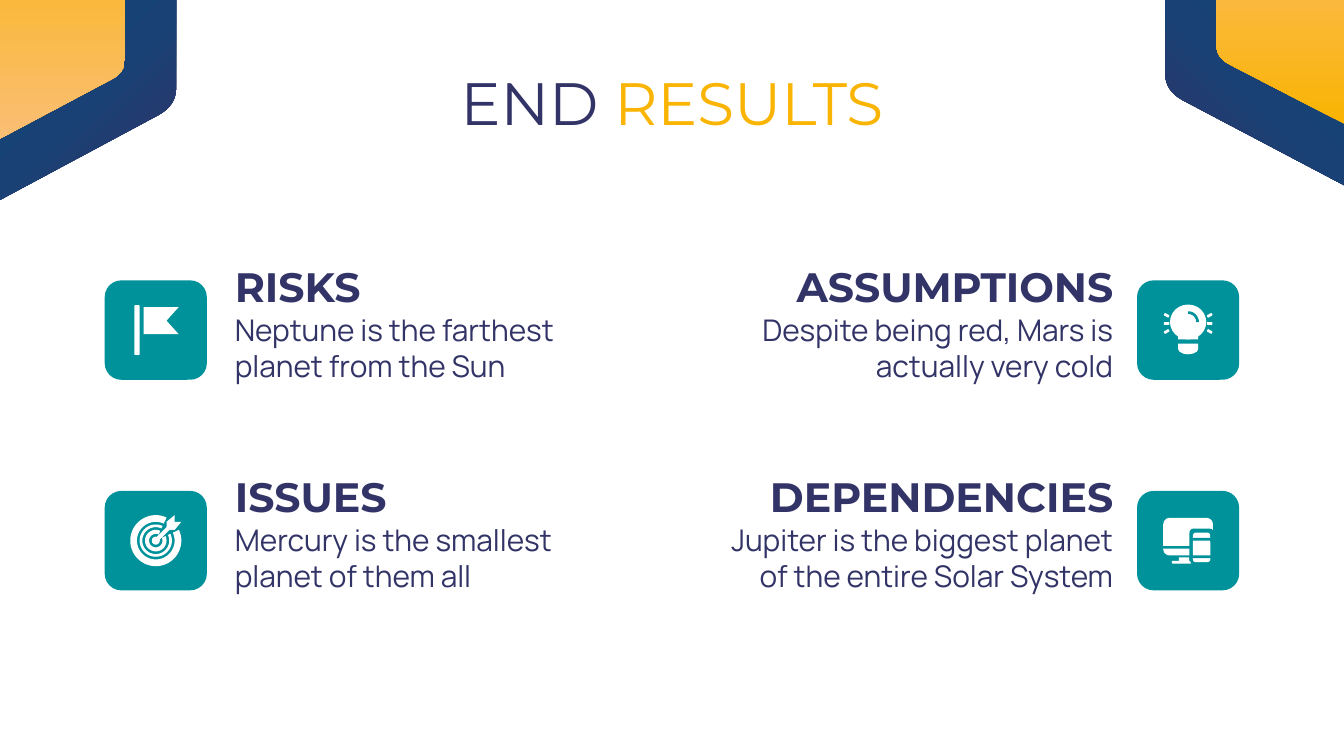
from copy import deepcopy
from math import cos, radians, sin

from pptx import Presentation
from pptx.dml.color import RGBColor
from pptx.enum.shapes import MSO_SHAPE
from pptx.enum.text import MSO_ANCHOR, MSO_AUTO_SIZE, PP_ALIGN
from pptx.util import Cm, Pt

ROUNDED, OVAL, BOX = MSO_SHAPE.ROUNDED_RECTANGLE, MSO_SHAPE.OVAL, MSO_SHAPE.RECTANGLE
CUP = MSO_SHAPE.FLOWCHART_DELAY
TOP, MIDDLE = MSO_ANCHOR.TOP, MSO_ANCHOR.MIDDLE
LEFT, CENTER, RIGHT = PP_ALIGN.LEFT, PP_ALIGN.CENTER, PP_ALIGN.RIGHT

THEME = {
    "navy": "323366", "blue": "194175", "deep": "0C487C",
    "gold": "FAB403", "amber": "FAB93C", "peach": "FABE75",
    "teal": "00929B", "white": "FFFFFF",
    "title": {"name": "Montserrat", "size": Pt(32), "bold": False},
    "heading": {"name": "Montserrat", "size": Pt(22), "bold": True},
    "body": {"name": "Manrope", "size": Pt(16), "bold": False},
}
TITLE = [("END ", "navy"), ("RESULTS", "gold")]
# heading, text, icon; filled row by row
RESULTS = [
    ("RISKS", "Neptune is the farthest planet from the Sun", "flag"),
    ("ASSUMPTIONS", "Despite being red, Mars is actually very cold", "bulb"),
    ("ISSUES", "Mercury is the smallest planet of them all", "target"),
    ("DEPENDENCIES", "Jupiter is the biggest planet of the entire Solar System",
     "devices"),
]

# Icon parts are measured in UNIT from the middle of the tile.
UNIT = 0.0254
# preset, middle x, middle y, width, height, rotation, colour
ICON_PRESETS = {
    "flag": [(ROUNDED, -14, 0, 4, 37, 0, "white")],
    "bulb": [(OVAL, 0, -6, 27, 26, 0, "white"), (BOX, 0, 4, 15, 6, 0, "white"),
             (CUP, 0, 14, 8, 15, 90, "white")]
            + [(ROUNDED, side * 16, 6 * row - 5, 4, 2, side * row * 30, "white")
               for side in (-1, 1) for row in (-1, 0, 1)],
    "target": [(ROUNDED, 6, -6, 22, 3, -45, "white"), (OVAL, 0, 0, 6, 6, 0, "white")],
    "devices": [(ROUNDED, 0, -3, 37, 28, 0, "white"), (BOX, 0, 5, 38, 2, 0, "teal"),
                (ROUNDED, -5, 16, 14, 2, 0, "white"), (BOX, -3, 14, 8, 3, 0, "white"),
                (ROUNDED, 10, 4, 18, 26, 0, "teal"), (ROUNDED, 10, 5, 13, 22, 0, "white")]
               + [(BOX, 10, y, 14, 2, 0, "teal") for y in (-1, 12)],
}
ICON_POLYGONS = {
    "flag": [(-9, -17), (17, -17), (8, -7), (17, 3), (-9, 3)],
    "target": [(8, -8), (8, -14), (14, -19), (14, -14), (19, -14), (14, -8)],
}
# outer radius, inner radius, first and last angle, colour
ICON_ARCS = {
    "target": [(outer, inner, -25, 295, "white")
               for outer, inner in ((19, 14), (12, 10), (8, 5))],
    "bulb": [(8, 6, -90, 0, "teal")],
}
BULB_MIDDLE = -6

# Width, height at the slide edge and height at the inner side, in cm
NAVY_BAND, GOLD_BAND = (3.38, 3.78, 2), (2.41, 2.62, 1.37)
NAVY_COLORS = ("navy", "blue", "deep")
# mirrored, x shift, y shift, then size, colours and angle of each band
CORNERS = [
    (False, -0.05, 0, [(NAVY_BAND, NAVY_COLORS, 135),
                       (GOLD_BAND, ("amber", "peach"), 270)]),
    (True, 0, -0.28, [(NAVY_BAND, NAVY_COLORS, 45),
                      (GOLD_BAND, ("gold", "amber"), 90)]),
]

SLIDE_WIDTH, SLIDE_HEIGHT = 25.4, 14.29
MARGIN, TILE_WIDTH, TILE_HEIGHT = 1.98, 1.93, 1.88
TEXT_LEFT, TEXT_WIDTH = 4.19, 7.98
FIRST_ROW, ROW_STEP = 4.67, 3.98


def rgb(name):
    return RGBColor.from_string(THEME[name])


def strip(shape):
    shape.shadow.inherit = False
    shape.line.fill.background()
    return shape


def paint(shape, color):
    shape.fill.solid()
    shape.fill.fore_color.rgb = rgb(color)


def paint_gradient(shape, colors, angle):
    fill = shape.fill
    fill.gradient()
    fill.gradient_angle = angle
    stop_list = shape._element.spPr.gradFill.gsLst
    for _ in colors[2:]:
        stop_list.append(deepcopy(stop_list[-1]))
    for index, (stop, color) in enumerate(zip(fill.gradient_stops, colors)):
        stop.position = index / (len(colors) - 1)
        stop.color.rgb = rgb(color)


def add_polygon(slide, points):
    first, *others = [(Cm(x), Cm(y)) for x, y in points]
    builder = slide.shapes.build_freeform(*first, scale=1)
    builder.add_line_segments(others, close=True)
    return strip(builder.convert_to_shape())


def add_preset(slide, preset, left, top, width, height, color):
    shape = strip(slide.shapes.add_shape(preset, Cm(left), Cm(top), Cm(width), Cm(height)))
    paint(shape, color)
    return shape


def arc_band(outer, inner, first, last):
    def arc(radius, angles):
        return [(radius * cos(radians(a)), radius * sin(radians(a))) for a in angles]
    angles = range(first, last + 1, 5)
    return arc(outer, angles) + arc(inner, reversed(angles))


def round_corner(before, corner, after, steps=8):
    """Points of a quadratic curve pulled towards the corner."""
    parts = [index / steps for index in range(steps + 1)]
    return [tuple((1 - t) ** 2 * a + 2 * t * (1 - t) * b + t * t * c
                  for a, b, c in zip(before, corner, after)) for t in parts]


def write(box, spans, style, align, anchor):
    frame = box.text_frame
    layout = {"word_wrap": True, "auto_size": MSO_AUTO_SIZE.NONE, "vertical_anchor": anchor}
    layout.update({f"margin_{side}": Cm(0.25) for side in ("left", "top", "right", "bottom")})
    for name, value in layout.items():
        setattr(frame, name, value)
    para = frame.paragraphs[0]
    para.alignment = align
    for text, color in spans:
        span = para.add_run()
        span.text = text
        for name, value in THEME[style].items():
            setattr(span.font, name, value)
        span.font.color.rgb = rgb(color)


def add_corner(slide, mirrored, shift_x, shift_y, bands):
    for (width, edge, side), colors, angle in bands:
        slope = (edge - side) / width
        cut = width * 0.1
        bend = round_corner((width - cut, side + cut * slope), (width, side),
                            (width, side - cut))
        points = []
        for x, y in [(0, 0), (0, edge), *bend, (width, 0)]:
            x, y = max(x + shift_x, 0), max(y + shift_y, 0)
            points.append((SLIDE_WIDTH - x if mirrored else x, y))
        paint_gradient(add_polygon(slide, points), colors, angle)


def add_icon(slide, icon, center_x, center_y):
    def place(x, y):
        return center_x + x * UNIT, center_y + y * UNIT

    for preset, x, y, width, height, turn, color in ICON_PRESETS[icon]:
        corner = place(x - width / 2, y - height / 2)
        part = add_preset(slide, preset, *corner, width * UNIT, height * UNIT, color)
        part.rotation = turn
    polygons = [(arc_band(*arc), color) for *arc, color in ICON_ARCS.get(icon, [])]
    if icon in ICON_POLYGONS:
        polygons.append((ICON_POLYGONS[icon], "white"))
    drop = BULB_MIDDLE if icon == "bulb" else 0
    for points, color in polygons:
        paint(add_polygon(slide, [place(x, y + drop) for x, y in points]), color)


def add_result(slide, index, heading, text, icon):
    row, on_right = divmod(index, 2)
    top = FIRST_ROW + row * ROW_STEP
    tile_left = SLIDE_WIDTH - MARGIN - TILE_WIDTH if on_right else MARGIN
    text_left = SLIDE_WIDTH - TEXT_LEFT - TEXT_WIDTH + 0.08 if on_right else TEXT_LEFT
    for words, style, offset, height in ((heading, "heading", 0, 1.47),
                                         (text, "body", 1.22, 1.35)):
        box = slide.shapes.add_textbox(Cm(text_left), Cm(top + offset),
                                       Cm(TEXT_WIDTH), Cm(height))
        write(box, [(words, "navy")], style, RIGHT if on_right else LEFT, MIDDLE)
    tile_top = top + 0.63
    add_preset(slide, ROUNDED, tile_left, tile_top, TILE_WIDTH, TILE_HEIGHT, "teal")
    add_icon(slide, icon, tile_left + TILE_WIDTH / 2, tile_top + TILE_HEIGHT / 2)


def main():
    deck = Presentation()
    deck.slide_width, deck.slide_height = Cm(SLIDE_WIDTH), Cm(SLIDE_HEIGHT)
    slide = deck.slides.add_slide(deck.slide_layouts[5])
    title = slide.shapes.title
    title.left, title.top = Cm(MARGIN), Cm(0.99)
    title.width, title.height = Cm(SLIDE_WIDTH - 2 * MARGIN), Cm(1.6)
    write(title, TITLE, "title", CENTER, TOP)
    for corner in CORNERS:
        add_corner(slide, *corner)
    for index, result in enumerate(RESULTS):
        add_result(slide, index, *result)
    deck.save("out.pptx")


if __name__ == "__main__":
    main()
